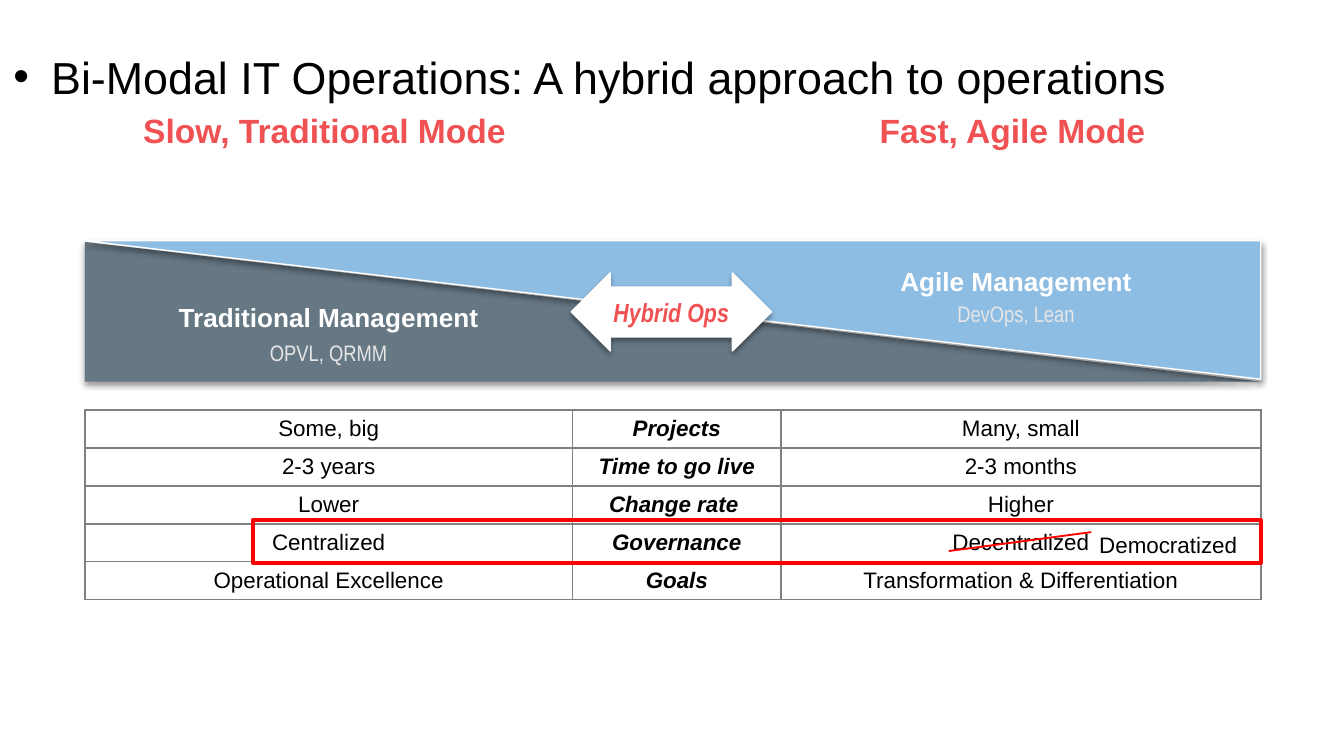
from lxml import etree
from pptx import Presentation
from pptx.dml.color import RGBColor
from pptx.enum.shapes import MSO_CONNECTOR as CONN, MSO_SHAPE as SHAPE
from pptx.enum.text import MSO_ANCHOR as ANCHOR, MSO_AUTO_SIZE as FIT, PP_ALIGN as ALIGN
from pptx.oxml import parse_xml
from pptx.oxml.ns import nsdecls, qn
from pptx.util import Pt

BLACK = RGBColor(0, 0, 0)
WHITE = RGBColor(0xFF, 0xFF, 0xFF)
PALE = RGBColor(0xE7, 0xE6, 0xE6)
SLATE = RGBColor(0x67, 0x78, 0x85)
SKY = RGBColor(0x8E, 0xBD, 0xE3)
CORAL = RGBColor(0xF0, 0x52, 0x53)
RED = RGBColor(0xFF, 0, 0)
GRAY = RGBColor(0x80, 0x80, 0x80)

ROWS = [
    ("Some, big", "Projects", "Many, small"),
    ("2-3 years", "Time to go live", "2-3 months"),
    ("Lower", "Change rate ", "Higher"),
    ("Centralized", "Governance", "Decentralized"),
    ("Operational Excellence", "Goals", "Transformation & Differentiation"),
]
COL_WIDTHS = (261.4, 111.6, 257)
ROW_HEIGHT = 20.35


def pts(*values):
    """Convert numbers to point lengths."""
    return [Pt(v) for v in values]


def add_run(p, text, size, color, font="Arial", bold=False, italic=False):
    """Append a formatted run to a paragraph."""
    r = p.add_run()
    r.text = text
    f = r.font
    f.size, f.name, f.bold, f.italic = Pt(size), font, bold, italic
    f.color.rgb = color


def add_heading(s):
    """Place the bulleted heading in the body placeholder."""
    title, body = s.shapes.title, s.placeholders[1]
    title.element.getparent().remove(title.element)
    body.left, body.top, body.width, body.height = pts(0, 23, 643.7, 36.7)
    tf = body.text_frame
    tf.auto_size = FIT.NONE
    p = tf.paragraphs[0]
    pPr = p._p.get_or_add_pPr()
    pPr.set("marL", str(Pt(20.2)))
    pPr.set("indent", str(-Pt(20.2)))
    add_run(p, "Bi-Modal IT Operations: A hybrid approach to operations", 24, BLACK)


def add_text(s, box, lines, align=ALIGN.CENTER, wrap=True, anchor=ANCHOR.TOP, spacing=None):
    """Add a text box with one formatted run per line."""
    tf = s.shapes.add_textbox(*pts(*box)).text_frame
    tf.word_wrap, tf.vertical_anchor = wrap, anchor
    for i, line in enumerate(lines):
        p = tf.add_paragraph() if i else tf.paragraphs[0]
        p.alignment, p.line_spacing = align, spacing
        if i:
            p.space_before = Pt(3.5)
        add_run(p, *line)


def add_shadow(sp):
    """Give a shape a soft shadow below it."""
    sp.shadow.inherit = False
    effects = sp._element.spPr.find(qn("a:effectLst"))
    effects.append(parse_xml(
        f'<a:outerShdw {nsdecls("a")} blurRad="{Pt(3.1)}" dist="{Pt(1.6)}" dir="5400000" '
        'rotWithShape="0"><a:srgbClr val="000000"><a:alpha val="38000"/></a:srgbClr></a:outerShdw>'))


def add_shape(s, kind, box, fill=None, line=None, width=0.75, shadow=True):
    """Add a preset shape with optional fill, outline and shadow."""
    sp = s.shapes.add_shape(kind, *pts(*box))
    if fill is None:
        sp.fill.background()
    else:
        sp.fill.solid()
        sp.fill.fore_color.rgb = fill
    if line is None:
        sp.line.fill.background()
    else:
        sp.line.color.rgb = line
        sp.line.width = Pt(width)
    if shadow:
        add_shadow(sp)
    else:
        sp.shadow.inherit = False
    return sp


def add_arrow(s):
    """Add the labelled double arrow between the modes."""
    sp = add_shape(s, SHAPE.LEFT_RIGHT_ARROW, (306, 146.2, 107.3, 41.8), WHITE, WHITE)
    sp.adjustments[0], sp.adjustments[1] = 0.64, 0.5
    tf = sp.text_frame
    tf.margin_left = tf.margin_right = 0
    tf.vertical_anchor = ANCHOR.MIDDLE
    p = tf.paragraphs[0]
    p.alignment = ALIGN.CENTER
    add_run(p, "Hybrid Ops", 14, CORAL, "Arial Narrow", True, True)


def add_borders(cell):
    """Draw a thin gray border on every side of a cell."""
    tcPr = cell._tc.get_or_add_tcPr()
    for i, side in enumerate(("lnL", "lnR", "lnT", "lnB")):
        tcPr.insert(i, parse_xml(
            f'<a:{side} {nsdecls("a")} w="{Pt(1)}"><a:solidFill><a:srgbClr val="{GRAY}"/>'
            f'</a:solidFill></a:{side}>'))


def add_comparison(s):
    """Add the table that compares the two modes."""
    box = pts(45.4, 219.6, sum(COL_WIDTHS), ROW_HEIGHT * len(ROWS))
    table = s.shapes.add_table(len(ROWS), len(COL_WIDTHS), *box).table
    table.first_row = table.horz_banding = False
    for col, width in zip(table.columns, COL_WIDTHS):
        col.width = Pt(width)
    for row, texts in zip(table.rows, ROWS):
        row.height = Pt(ROW_HEIGHT)
        for i, (cell, text) in enumerate(zip(row.cells, texts)):
            cell.fill.background()
            cell.vertical_anchor = ANCHOR.MIDDLE
            cell.margin_left = cell.margin_right = Pt(5)
            cell.margin_top = cell.margin_bottom = Pt(2.7)
            p = cell.text_frame.paragraphs[0]
            p.alignment = ALIGN.CENTER
            add_run(p, text, 12, BLACK, bold=i == 1, italic=i == 1)
            add_borders(cell)


def add_strike(s):
    """Add the red line that strikes out a table entry."""
    c = s.shapes.add_connector(CONN.STRAIGHT, *pts(508.3, 295.2, 584.6, 285.1))
    c.line.color.rgb = RED
    c.line.width = Pt(1)
    etree.SubElement(c._element.spPr, qn("a:effectLst"))


def main():
    """Build and save the slide."""
    prs = Presentation()
    prs.slide_width, prs.slide_height = pts(720, 405)
    s = prs.slides.add_slide(prs.slide_layouts[1])
    add_heading(s)
    add_comparison(s)
    add_shape(s, SHAPE.RIGHT_TRIANGLE, (45.4, 129.6, 630, 74.9), SLATE)
    sky = add_shape(s, SHAPE.RIGHT_TRIANGLE, (45.4, 129, 630, 74.2), SKY, WHITE)
    sky.rotation = 180
    add_text(s, (475.2, 143.3, 138.2, 33.1),
             [("Agile Management", 14, WHITE, "Arial", True),
              ("DevOps, Lean", 12, PALE, "Arial Narrow")],
             wrap=False, anchor=ANCHOR.MIDDLE, spacing=0.9)
    add_text(s, (75.6, 157.7, 200.9, 42.5),
             [("Traditional Management", 14, WHITE, "Arial", True),
              ("OPVL, QRMM", 12, PALE, "Arial Narrow")])
    add_arrow(s)
    for left, mode in ((43.2, "Slow, Traditional Mode"), (411.8, "Fast, Agile Mode")):
        add_text(s, (left, 55.4, 261.4, 28.8), [(mode, 18, CORAL, "Arial", True)])
    add_shape(s, SHAPE.RECTANGLE, (135.4, 278.6, 540, 23), line=RED, width=2, shadow=False)
    add_strike(s)
    add_text(s, (581.8, 280.8, 89.3, 21.6), [("Democratized", 12, BLACK)],
             align=ALIGN.LEFT, wrap=False)
    prs.save("out.pptx")


if __name__ == "__main__":
    main()
